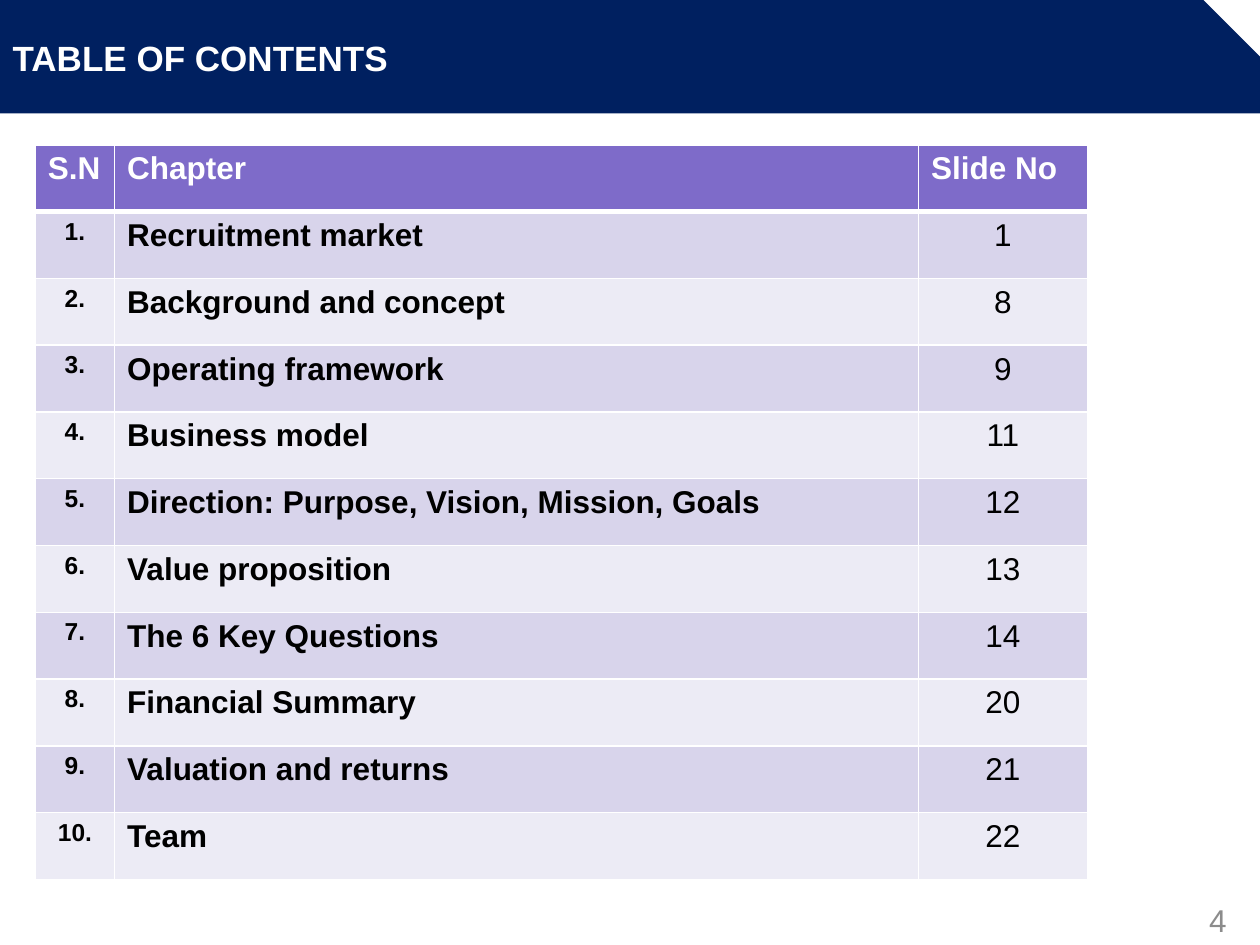
from dataclasses import dataclass

from lxml.etree import SubElement
from pptx import Presentation
from pptx.dml.color import RGBColor
from pptx.enum.shapes import MSO_SHAPE as Shape
from pptx.enum.text import MSO_ANCHOR as Anchor, PP_ALIGN as Align
from pptx.oxml.ns import qn
from pptx.util import Inches, Pt


@dataclass(frozen=True)
class Theme:
    """Colours, font and type sizes of the slide."""
    font: str = "Arial"
    navy: str = "002060"
    purple: str = "7E6BC9"
    lilac: str = "D8D4EB"
    pale: str = "ECEBF5"
    white: str = "FFFFFF"
    black: str = "000000"
    grey: str = "8C8C8C"
    title_size: int = 20
    body_size: int = 18
    number_size: int = 14
    rule: int = 1
    header_rule: int = 3


class SlideBuilder:
    """Holds the theme and the current slide."""

    def __init__(self, slide, theme):
        """Keep the slide and the theme."""
        self.slide = slide
        self.theme = theme

    def set_text(self, text_frame, text, size, color, bold=False, align=Align.LEFT):
        """Set one formatted paragraph of text."""
        text_frame.text = text
        paragraph = text_frame.paragraphs[0]
        paragraph.alignment = align
        font = paragraph.runs[0].font
        font.name = self.theme.font
        font.size = Pt(size)
        font.bold = bold
        font.color.rgb = RGBColor.from_string(color)

    def band(self, left, top, width, height):
        """Draw the snipped header band behind everything else."""
        shape = self.slide.shapes.add_shape(
            Shape.SNIP_1_RECTANGLE, Inches(left), Inches(top), Inches(width), Inches(height))
        shape.adjustments[0] = 0.5
        shape.fill.solid()
        shape.fill.fore_color.rgb = RGBColor.from_string(self.theme.navy)
        shape.line.fill.background()
        shape.shadow.inherit = False
        self.slide.shapes._spTree.insert(2, shape._element)

    def title(self, text, left, top, width, height):
        """Place and fill the title placeholder."""
        title = self.slide.shapes.title
        title.left, title.top = Inches(left), Inches(top)
        title.width, title.height = Inches(width), Inches(height)
        title.text_frame.vertical_anchor = Anchor.MIDDLE
        self.set_text(title.text_frame, text, self.theme.title_size, self.theme.white,
                      bold=True)

    def page_number(self, text, left, top, width, height):
        """Add the page number."""
        box = self.slide.shapes.add_textbox(
            Inches(left), Inches(top), Inches(width), Inches(height))
        box.text_frame.word_wrap = True
        self.set_text(box.text_frame, text, self.theme.body_size, self.theme.grey,
                      align=Align.CENTER)

    def cell_borders(self, cell, top, bottom):
        """Give a cell white borders; top and bottom are widths in points."""
        rule = self.theme.rule
        properties = cell._tc.get_or_add_tcPr()
        sides = (("L", rule), ("R", rule), ("T", top), ("B", bottom))
        for index, (side, width) in enumerate(sides):
            line = SubElement(properties, qn(f"a:ln{side}"), w=str(Pt(width)))
            fill = SubElement(line, qn("a:solidFill"))
            SubElement(fill, qn("a:srgbClr"), val=self.theme.white)
            properties.insert(index, line)

    def contents_table(self, header, chapters, left, top, column_widths, row_height):
        """Add the contents table with a header and banded chapter rows."""
        theme = self.theme
        rows = [header] + [(f"{number}.", name, page)
                           for number, (name, page) in enumerate(chapters, 1)]
        table = self.slide.shapes.add_table(
            len(rows), len(header), Inches(left), Inches(top),
            Inches(sum(column_widths)), Inches(row_height * len(rows))).table
        for column, width in zip(table.columns, column_widths):
            column.width = Inches(width)
        column_styles = (
            (theme.number_size, True, Align.CENTER),
            (theme.body_size, True, Align.LEFT),
            (theme.body_size, False, Align.CENTER),
        )
        for row_index, values in enumerate(rows):
            is_header = row_index == 0
            band_fill = theme.lilac if row_index % 2 else theme.pale
            for column_index, value in enumerate(values):
                cell = table.cell(row_index, column_index)
                cell.fill.solid()
                cell.fill.fore_color.rgb = RGBColor.from_string(
                    theme.purple if is_header else band_fill)
                self.cell_borders(cell,
                                  theme.header_rule if row_index == 1 else theme.rule,
                                  theme.header_rule if is_header else theme.rule)
                if is_header:
                    size, bold, align = theme.body_size, True, Align.LEFT
                else:
                    size, bold, align = column_styles[column_index]
                color = theme.white if is_header else theme.black
                self.set_text(cell.text_frame, value, size, color, bold, align)


CHAPTERS = [
    ("Recruitment market ", "1"),
    ("Background and concept", "8"),
    ("Operating framework", "9"),
    ("Business model", "11"),
    ("Direction: Purpose, Vision, Mission, Goals", "12"),
    ("Value proposition", "13"),
    ("The 6 Key Questions", "14"),
    ("Financial Summary", "20"),
    ("Valuation and returns", "21"),
    ("Team", "22"),
]


def main():
    """Build and save the contents slide."""
    presentation = Presentation()
    presentation.slide_width = Inches(10)
    presentation.slide_height = Inches(7.5)
    slide = presentation.slides.add_slide(presentation.slide_layouts[5])
    builder = SlideBuilder(slide, Theme())
    builder.band(0, 0, 10, 0.9)
    builder.title("TABLE OF CONTENTS", 0, 0, 9.51, 0.92)
    builder.page_number("4", 9.33, 7.1, 0.67, 0.4)
    builder.contents_table(("S.N", "Chapter", "Slide No"), CHAPTERS,
                           0.28, 1.15, (0.63, 6.38, 1.34), 0.53)
    presentation.save("out.pptx")


main()
